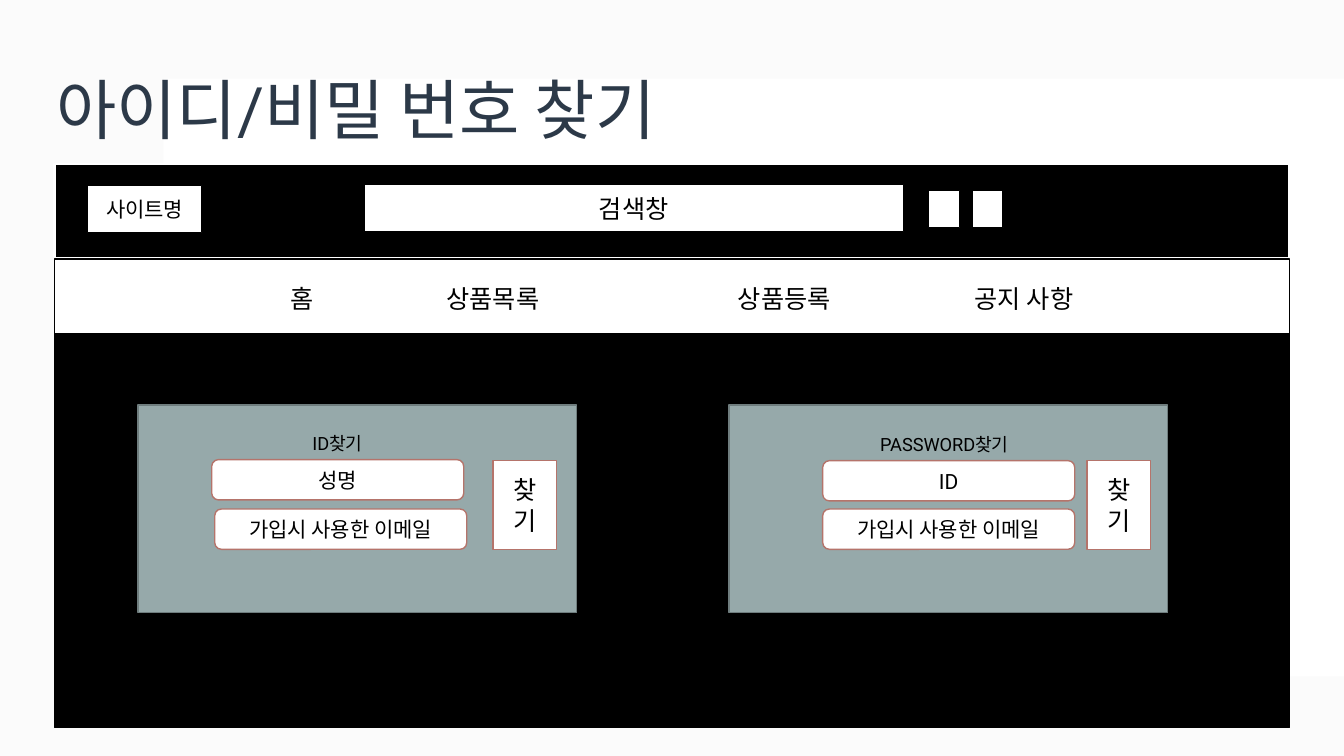
from pptx import Presentation
from pptx.dml.color import RGBColor
from pptx.enum.shapes import MSO_SHAPE as SHAPE
from pptx.enum.text import MSO_ANCHOR as ANCHOR, MSO_AUTO_SIZE as AUTO, PP_ALIGN as ALIGN
from pptx.oxml.ns import qn
from pptx.util import Inches, Pt
from lxml import etree

BLACK, WHITE, NAVY = "000000", "FFFFFF", "2C3948"
HAZE, PANEL, PANEL_EDGE, ROSE = "F4F4F4", "96A9AA", "6F7D7E", "B5746B"


def color(value):
    return RGBColor.from_string(value)


class Wireframe:
    font = "Roboto"

    def __init__(self, prs):
        self.s = prs.slides.add_slide(prs.slide_layouts[5])

    def style(self, p, size, ink=BLACK, align=ALIGN.LEFT):
        p.alignment = align
        p.font.name = self.font
        p.font.size = Pt(size)
        p.font.color.rgb = color(ink)

    def title(self, text, x, y, w, h):
        sp = self.s.shapes.title
        sp.left, sp.top, sp.width, sp.height = map(Inches, (x, y, w, h))
        tf = sp.text_frame
        tf.text = text
        tf.auto_size = AUTO.NONE
        tf.vertical_anchor = ANCHOR.MIDDLE
        tf.paragraphs[0].line_spacing = 0.9
        self.style(tf.paragraphs[0], 46.8, NAVY)
        # Bring the title in front of the background
        self.s.shapes._spTree.append(sp._element)

    def box(self, x, y, w, h, fill=WHITE, line=BLACK, line_width=1,
            text=None, size=15, kind=SHAPE.RECTANGLE, opacity=None):
        sp = self.s.shapes.add_shape(kind, *map(Inches, (x, y, w, h)))
        sp.shadow.inherit = False
        sp.fill.solid()
        sp.fill.fore_color.rgb = color(fill)
        if opacity is not None:
            clr = sp._element.spPr.find(qn("a:solidFill"))[0]
            etree.SubElement(clr, qn("a:alpha")).set("val", str(opacity * 1000))
        if line:
            sp.line.color.rgb = color(line)
            sp.line.width = Pt(line_width)
        else:
            sp.line.fill.background()
        if text:
            tf = sp.text_frame
            tf.text = text
            tf.word_wrap = True
            tf.vertical_anchor = ANCHOR.MIDDLE
            self.style(tf.paragraphs[0], size, align=ALIGN.CENTER)

    def label(self, text, x, y, w, h, size):
        tf = self.s.shapes.add_textbox(*map(Inches, (x, y, w, h))).text_frame
        tf.text = text
        tf.word_wrap = True
        tf.auto_size = AUTO.SHAPE_TO_FIT_TEXT
        self.style(tf.paragraphs[0], size)

    def field(self, text, x, y):
        self.box(x, y, 2.5, 0.4, line=ROSE, text=text, kind=SHAPE.ROUNDED_RECTANGLE)


def main():
    prs = Presentation()
    prs.slide_width, prs.slide_height = Inches(13.33), Inches(7.5)
    page = Wireframe(prs)

    # Background and title
    page.box(0, 0, 13.33, 7.5, HAZE, line=None, opacity=35)
    page.box(1.62, 0.78, 11.71, 5.93, line=None)
    page.title("아이디/비밀 번호 찾기", 0.46, 0.4, 7.27, 1.45)

    # Header bar
    page.box(0.54, 1.63, 12.25, 0.93, BLACK, WHITE, 1.5)
    page.box(3.61, 1.83, 5.35, 0.47, text="검색창", size=18)
    for x in (9.21, 9.64):
        page.box(x, 1.89, 0.31, 0.37)
    page.box(0.87, 1.84, 1.13, 0.47, text="사이트명")

    # Navigation
    page.box(0.54, 2.57, 12.25, 0.74)
    for text, x, w in (("홈", 2.78, 0.43), ("상품목록", 4.33, 1.22),
                       ("상품등록", 7.22, 1.22), ("공지 사항", 9.57, 1.46)):
        page.label(text, x, 2.76, w, 0.4, 18)

    # Content area with the two search panels
    page.box(0.54, 3.31, 12.25, 3.91, BLACK)
    email = "가입시 사용한 이메일"
    panels = (
        (1.37, ("ID찾기", 3, 4.24, 0.78), ("성명", 2.1, 4.56), (email, 2.13, 5.05), 4.89),
        (7.23, ("PASSWORD찾기", 8.63, 4.25, 1.56), ("ID", 8.16, 4.57), (email, 8.16, 5.05), 10.78),
    )
    for left, heading, first, second, button_x in panels:
        page.box(left, 4.02, 4.35, 2.06, PANEL, PANEL_EDGE)
        page.label(*heading, 0.32, 13)
        page.field(*first)
        page.field(*second)
        page.box(button_x, 4.57, 0.63, 0.88, line=ROSE, text="찾기", size=18)

    prs.save("out.pptx")


if __name__ == "__main__":
    main()
